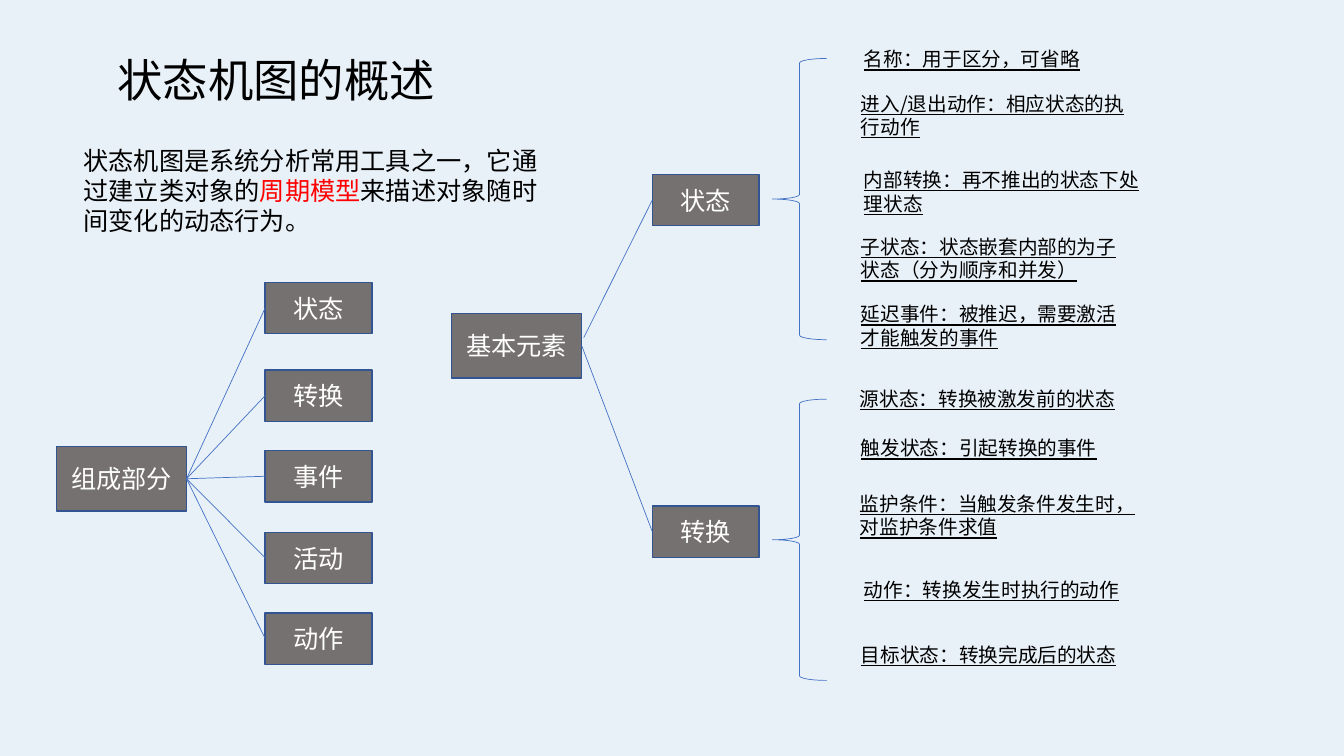
"""Build the slide that introduces state machine diagrams."""
import pptx
import pptx.util
import pptx.dml.color
import pptx.enum.shapes
import pptx.enum.text
import pptx.oxml.ns
import lxml.etree

Inches, Pt = pptx.util.Inches, pptx.util.Pt
RGBColor = pptx.dml.color.RGBColor
SHAPE = pptx.enum.shapes.MSO_SHAPE
ANCHOR = pptx.enum.text.MSO_ANCHOR
ALIGN = pptx.enum.text.PP_ALIGN

FONT = "Noto Sans CJK SC"
BACKGROUND = RGBColor(0xE9, 0xF1, 0xF8)
BLACK = RGBColor(0, 0, 0)
WHITE = RGBColor(0xFF, 0xFF, 0xFF)
RED = RGBColor(0xFF, 0, 0)
GRAY = RGBColor(0x76, 0x71, 0x71)
NAVY = RGBColor(0x32, 0x54, 0x91)
BLUE = RGBColor(0x44, 0x72, 0xC4)

TITLE = "状态机图的概述"
INTRO = [
    ("状态机图是系统分析常用工具之一，它通过建立类对象的", BLACK),
    ("周期模型", RED),
    ("来描述对象随时间变化的动态行为。", BLACK),
]

ROOT_SIZE = (1.29, 0.64)
BRANCH_SIZE = (1.06, 0.51)
TREES = [
    {"root": ("组成部分", 0.56, 4.43), "branch_left": 2.63,
     "branches": [("状态", 2.8, None), ("转换", 3.67, None), ("事件", 4.47, None),
                  ("活动", 5.28, None), ("动作", 6.08, None)]},
    {"root": ("基本元素", 4.48, 3.11), "branch_left": 6.47,
     "branches": [("状态", 1.73, (5.79, 3.35)), ("转换", 5.02, None)]},
]

BRACE_LEFT, BRACE_SIZE = 7.66, (0.54, 2.79)
ONE_LINE, TWO_LINES = 0.34, 0.57
DETAILS = [
    (0.58, [
        ("名称：用于区分，可省略", 8.47, 0.42, 3.27, ONE_LINE),
        ("进入/退出动作：相应状态的执行动作", 8.44, 0.86, 2.98, TWO_LINES),
        ("内部转换：再不推出的状态下处理状态", 8.47, 1.62, 2.98, TWO_LINES),
        ("子状态：状态嵌套内部的为子状态（分为顺序和并发）", 8.44, 2.28, 2.91, TWO_LINES),
        ("延迟事件：被推迟，需要激活才能触发的事件", 8.44, 2.95, 2.81, TWO_LINES),
    ]),
    (3.96, [
        ("源状态：转换被激发前的状态", 8.43, 3.79, 3.27, ONE_LINE),
        ("触发状态：引起转换的事件", 8.44, 4.28, 2.98, ONE_LINE),
        ("监护条件：当触发条件发生时，对监护条件求值", 8.43, 4.83, 2.98, TWO_LINES),
        ("动作：转换发生时执行的动作", 8.47, 5.68, 2.91, ONE_LINE),
        ("目标状态：转换完成后的状态", 8.44, 6.33, 2.81, ONE_LINE),
    ]),
]


def set_font(paragraph, size, color=None):
    font = paragraph.font
    font.size, font.name = Pt(size), FONT
    if color is not None:
        font.color.rgb = color
    properties = paragraph._p.pPr.find(pptx.oxml.ns.qn("a:defRPr"))
    east_asian = lxml.etree.SubElement(properties, pptx.oxml.ns.qn("a:ea"))
    east_asian.set("typeface", FONT)


def add_text(slide, box, runs, size):
    frame = slide.shapes.add_textbox(*map(Inches, box)).text_frame
    frame.word_wrap = True
    paragraph = frame.paragraphs[0]
    for text, color in runs:
        run = paragraph.add_run()
        run.text = text
        if len(runs) > 1:
            run.font.color.rgb = color
    set_font(paragraph, size, runs[0][1] if len(runs) == 1 else None)
    return frame


def add_node(slide, text, left, top, size):
    node = slide.shapes.add_shape(SHAPE.RECTANGLE, *map(Inches, (left, top, *size)))
    node.shadow.inherit = False
    node.fill.solid()
    node.fill.fore_color.rgb = GRAY
    node.line.color.rgb = NAVY
    node.line.width = Pt(1)
    node.text_frame.vertical_anchor = ANCHOR.MIDDLE
    paragraph = node.text_frame.paragraphs[0]
    paragraph.text = text
    paragraph.alignment = ALIGN.CENTER
    set_font(paragraph, 18, WHITE)
    return node


def add_link(slide, branch, root, loose_end):
    end = map(Inches, loose_end or (0, 0))
    link = slide.shapes.add_connector(
        pptx.enum.shapes.MSO_CONNECTOR.STRAIGHT, 0, 0, *end)
    link.begin_connect(branch, 1)
    if loose_end is None:
        link.end_connect(root, 3)
    link.line.color.rgb = BLUE
    link.line.width = Pt(0.5)
    lxml.etree.SubElement(link._element.spPr, pptx.oxml.ns.qn("a:effectLst"))


def add_tree(slide, tree):
    root = add_node(slide, *tree["root"], ROOT_SIZE)
    for text, top, loose_end in tree["branches"]:
        branch = add_node(slide, text, tree["branch_left"], top, BRANCH_SIZE)
        add_link(slide, branch, root, loose_end)


def add_details(slide, brace_top, details):
    for text, *box in details:
        frame = add_text(slide, box, [(text, BLACK)], 14)
        frame.paragraphs[0].font.underline = True
    brace = slide.shapes.add_shape(
        SHAPE.LEFT_BRACE, *map(Inches, (BRACE_LEFT, brace_top, *BRACE_SIZE)))
    brace.shadow.inherit = False
    brace.fill.background()
    brace.line.color.rgb = BLUE
    brace.line.width = Pt(0.5)


def main():
    deck = pptx.Presentation()
    deck.slide_width, deck.slide_height = Inches(13.33), Inches(7.5)
    slide = deck.slides.add_slide(deck.slide_layouts[6])
    slide.background.fill.solid()
    slide.background.fill.fore_color.rgb = BACKGROUND

    title = add_text(slide, (0.61, 0.58, 4.26, 0.53), [(TITLE, BLACK)], 32.4)
    title.vertical_anchor = ANCHOR.BOTTOM
    title.paragraphs[0].alignment = ALIGN.CENTER
    title.paragraphs[0].line_spacing = 0.9
    add_text(slide, (0.73, 1.39, 4.85, 1.01), INTRO, 18)

    for tree in TREES:
        add_tree(slide, tree)
    for brace_top, details in DETAILS:
        add_details(slide, brace_top, details)
    deck.save("out.pptx")


if __name__ == "__main__":
    main()
